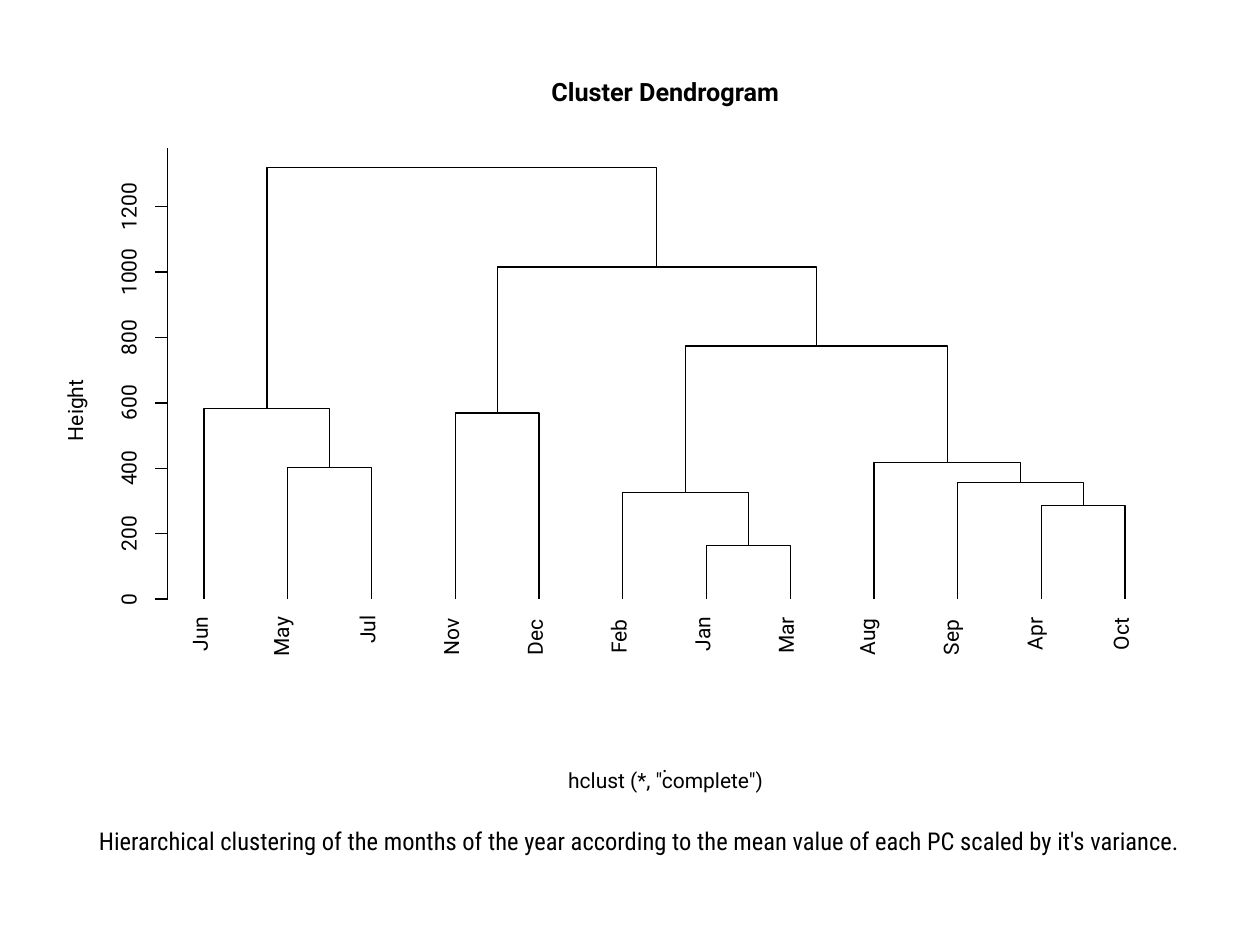
from dataclasses import dataclass

from lxml import etree
from pptx import Presentation
from pptx.dml.color import RGBColor
from pptx.enum.shapes import MSO_CONNECTOR
from pptx.enum.text import MSO_ANCHOR, MSO_AUTO_SIZE, PP_ALIGN
from pptx.oxml.ns import qn
from pptx.util import Inches, Pt

STRAIGHT = MSO_CONNECTOR.STRAIGHT
MIDDLE, TOP = MSO_ANCHOR.MIDDLE, MSO_ANCHOR.TOP
LEFT, CENTER = PP_ALIGN.LEFT, PP_ALIGN.CENTER
NO_FIT = MSO_AUTO_SIZE.NONE


@dataclass(frozen=True)
class Theme:
    ink: RGBColor = RGBColor(0, 0, 0)
    font: str = "Roboto"
    caption_font: str = "Roboto Condensed"
    title: float = 14.4
    label: float = 12
    caption: float = 14
    line: float = 0.75


THEME = Theme()

# Content: months with the length of each label in inches
TITLE = "Cluster Dendrogram"
AXIS_TITLE = "Height"
METHOD = 'hclust (*, "complete")'
CAPTION = ("Hierarchical clustering of the months of the year according to "
           "the mean value of each PC scaled by it's variance.")
MONTHS = [("Jun", 0.27), ("May", 0.31), ("Jul", 0.21), ("Nov", 0.3),
          ("Dec", 0.3), ("Feb", 0.29), ("Jan", 0.27), ("Mar", 0.29),
          ("Aug", 0.3), ("Sep", 0.3), ("Apr", 0.26), ("Oct", 0.26)]
# Each merge: (left branch, right branch, height)
SUMMER = ("Jun", ("May", "Jul", 403), 584)
EARLY_WINTER = ("Nov", "Dec", 569)
LATE_WINTER = ("Feb", ("Jan", "Mar", 164), 326)
MID_SEASONS = ("Aug", ("Sep", ("Apr", "Oct", 287), 357), 418)
TREE = (SUMMER, (EARLY_WINTER, (LATE_WINTER, MID_SEASONS, 774), 1016), 1320)
TICKS = range(0, 1201, 200)
AXIS_MAX = 1380

# Plot grid, in inches
BASE_Y, UNIT = 4.755, 0.519 / 200
FIRST_LEAF, LEAF_STEP = 1.62, 7.31 / 11
AXIS_X, TICK_LENGTH = 1.33, 0.1
PLOT_CENTER = 5.28
TICK_LABEL_X, DIGIT_WIDTH = 1.035, 0.093
MONTH_LABEL_TOP = 4.9
LEAF_X = {month: FIRST_LEAF + i * LEAF_STEP for i, (month, _) in enumerate(MONTHS)}


def height_y(value):
    return BASE_Y - value * UNIT


def place(box, center_x, center_y, width, height):
    box.left, box.top = Inches(center_x - width / 2), Inches(center_y - height / 2)
    box.width, box.height = Inches(width), Inches(height)


def write(box, text, size, font=THEME.font, bold=False, align=LEFT):
    frame = box.text_frame
    frame.text = text
    frame.auto_size = NO_FIT
    frame.word_wrap = False
    frame.vertical_anchor = MIDDLE
    frame.margin_left = frame.margin_right = 0
    frame.margin_top = frame.margin_bottom = 0
    line = frame.paragraphs[0]
    line.alignment = align
    line.line_spacing = Pt(size)
    style = line.runs[0].font
    style.name, style.size, style.bold = font, Pt(size), bold
    style.color.rgb = THEME.ink


def add_label(slide, text, center_x, center_y, width, height=0.12, rotation=0):
    label = slide.shapes.add_textbox(0, 0, 0, 0)
    place(label, center_x, center_y, width, height)
    label.rotation = rotation
    write(label, text, THEME.label)


def ink_line(shape):
    shape.line.color.rgb = THEME.ink
    shape.line.width = Pt(THEME.line)


def add_rule(slide, x1, y1, x2, y2):
    rule = slide.shapes.add_connector(
        STRAIGHT, Inches(x1), Inches(y1), Inches(x2), Inches(y2))
    ink_line(rule)
    etree.SubElement(rule._element.spPr, qn("a:effectLst"))


def add_branch(slide, node):
    """Draw a node's brackets, children first; return its x and y."""
    if isinstance(node, str):
        return LEAF_X[node], BASE_Y
    left, right, height = node
    left_x, left_y = add_branch(slide, left)
    right_x, right_y = add_branch(slide, right)
    y = height_y(height)
    builder = slide.shapes.build_freeform(
        Inches(left_x), Inches(left_y), scale=1.0)
    builder.add_line_segments(
        [(Inches(left_x), Inches(y)), (Inches(right_x), Inches(y)),
         (Inches(right_x), Inches(right_y))], close=False)
    bracket = builder.convert_to_shape()
    bracket.shadow.inherit = False
    bracket.fill.background()
    ink_line(bracket)
    return (left_x + right_x) / 2, y


def main():
    deck = Presentation()
    deck.slide_width, deck.slide_height = Inches(10), Inches(7.5)
    slide = deck.slides.add_slide(deck.slide_layouts[5])

    # Title
    title = slide.shapes.title
    place(title, PLOT_CENTER, 0.75, 1.88, 0.18)
    write(title, TITLE, THEME.title, bold=True, align=CENTER)

    # Tree and month labels; descenders push a label slightly left
    add_branch(slide, TREE)
    for month, width in MONTHS:
        descends = any(letter in "gpy" for letter in month)
        shift, height = (0.04, 0.15) if descends else (0.02, 0.12)
        add_label(slide, month, LEAF_X[month] - shift,
                  MONTH_LABEL_TOP + width / 2, width, height, 270)

    # Height axis
    add_rule(slide, AXIS_X, BASE_Y, AXIS_X, height_y(AXIS_MAX))
    for tick in TICKS:
        y = height_y(tick)
        add_rule(slide, AXIS_X, y, AXIS_X - TICK_LENGTH, y)
        add_label(slide, str(tick), TICK_LABEL_X, y,
                  DIGIT_WIDTH * len(str(tick)), rotation=270)
    add_label(slide, AXIS_TITLE, 0.61, 3.26, 0.48, 0.16, 270)

    # Method note, with the plot's "." label above it
    add_label(slide, METHOD, PLOT_CENTER, 6.21, 1.54, 0.16)
    add_label(slide, ".", PLOT_CENTER, 6.08, 0.05, 0.02)

    # Caption
    caption = slide.shapes.add_textbox(0, 0, 0, 0)
    place(caption, 5.075, 6.905, 9.13, 0.79)
    write(caption, CAPTION, THEME.caption, THEME.caption_font, align=CENTER)
    frame = caption.text_frame
    frame.word_wrap = True
    frame.vertical_anchor = TOP
    frame.margin_top = Inches(0.05)
    frame.paragraphs[0].line_spacing = 1.0

    deck.save("out.pptx")


if __name__ == "__main__":
    main()
